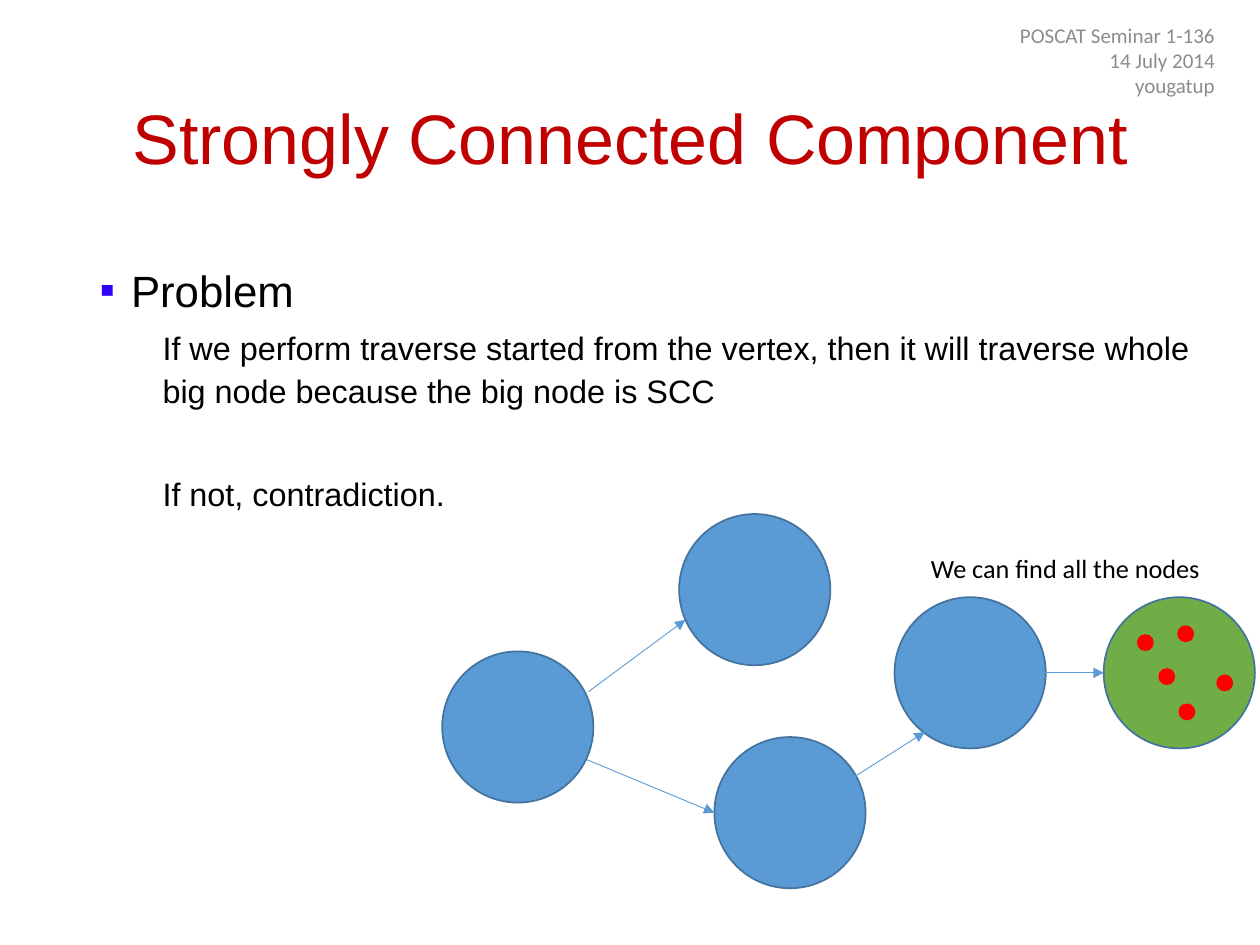
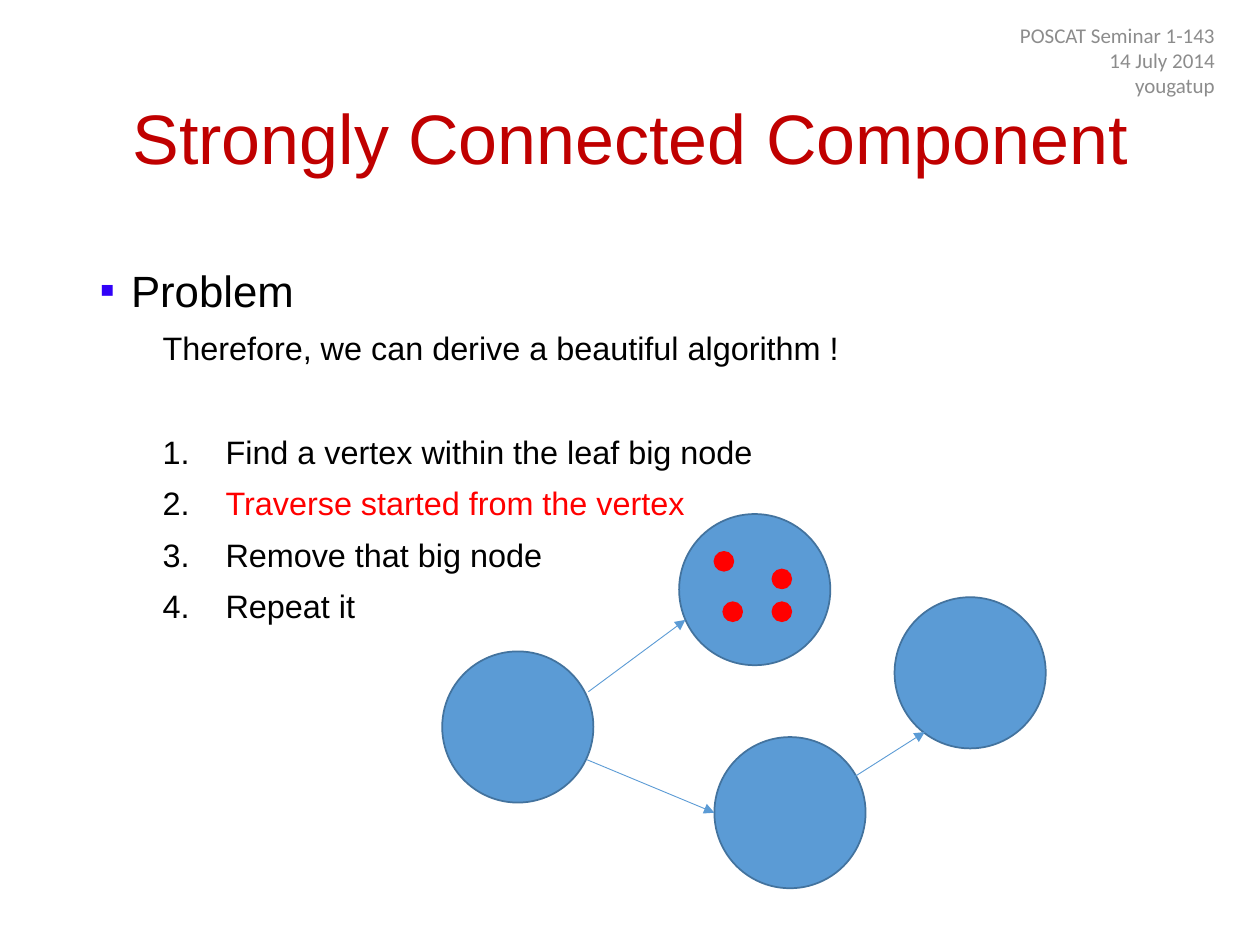
from lxml.etree import SubElement
from pptx import Presentation
from pptx.dml.color import RGBColor
from pptx.enum.shapes import MSO_CONNECTOR, MSO_SHAPE
from pptx.enum.text import MSO_ANCHOR, MSO_AUTO_SIZE, PP_ALIGN
from pptx.oxml.ns import qn
from pptx.util import Inches, Pt

# Colours
BLACK = RGBColor(0x00, 0x00, 0x00)
GRAY = RGBColor(0x8C, 0x8C, 0x8C)
CRIMSON = RGBColor(0xC0, 0x00, 0x00)
RED = RGBColor(0xFF, 0x00, 0x00)
BLUE = RGBColor(0x5B, 0x9B, 0xD5)
EDGE = RGBColor(0x43, 0x73, 0x9E)
GREEN = RGBColor(0x70, 0xAD, 0x47)
VIOLET = RGBColor(0x31, 0x02, 0xF8)

# The graph that both slides show
NODE = 1.2
NODES = [(3.51, 5.17), (5.39, 4.08), (5.67, 5.85), (7.1, 4.74)]
ARROWS = [
    ((4.67, 5.49), (5.44, 4.92)),
    ((4.66, 6.03), (5.67, 6.45)),
    ((6.27, 6.49), (7.34, 5.81)),
]
GAP = 34.5  # space before a paragraph that opens a new block


def write(frame, text, size=18.5, color=BLACK, font="Arial", align=PP_ALIGN.LEFT,
          level=0, lines=1.0, before=0, left=0, hang=0, mark=None, tint=BLACK):
    """Add one paragraph; mark is a bullet character or "1." for numbering."""
    para = frame.paragraphs[0]
    if para.runs:
        para = frame.add_paragraph()
    para.alignment, para.level = align, level
    para.line_spacing, para.space_before = lines, Pt(before)
    run = para.add_run()
    run.text = text
    run.font.name, run.font.size = font, Pt(size)
    run.font.color.rgb = color

    # Indent and bullet
    props = para._p.get_or_add_pPr()
    props.set("marL", str(Inches(left)))
    props.set("indent", str(Inches(-hang)))
    if mark is None:
        SubElement(props, qn("a:buNone"))
        return
    SubElement(SubElement(props, qn("a:buClr")), qn("a:srgbClr"), val=str(tint))
    SubElement(props, qn("a:buFont"), typeface="Arial")
    if mark == "1.":
        SubElement(props, qn("a:buAutoNum"), type="arabicPeriod")
    else:
        SubElement(props, qn("a:buChar"), char=mark)


def place(shape, left, top, width, height):
    shape.left, shape.top = Inches(left), Inches(top)
    shape.width, shape.height = Inches(width), Inches(height)


def box(slide, left, top, width, height, wrap=True):
    shape = slide.shapes.add_textbox(
        Inches(left), Inches(top), Inches(width), Inches(height))
    shape.text_frame.word_wrap = wrap
    return shape.text_frame


def disc(slide, spot, size, fill=BLUE, edge=EDGE):
    left, top = spot
    shape = slide.shapes.add_shape(
        MSO_SHAPE.OVAL, Inches(left), Inches(top), Inches(size), Inches(size))
    shape.shadow.inherit = False
    shape.fill.solid()
    shape.fill.fore_color.rgb = fill
    shape.line.color.rgb = edge
    shape.line.width = Pt(1)


def dots(slide, spots, size):
    for spot in spots:
        disc(slide, spot, size, RED, RED)


def arrow(slide, start, end):
    link = slide.shapes.add_connector(
        MSO_CONNECTOR.STRAIGHT, *(Inches(n) for n in start + end))
    link.line.color.rgb = BLUE
    link.line.width = Pt(0.5)
    SubElement(link.line._get_or_add_ln(), qn("a:tailEnd"), type="triangle")
    SubElement(link._element.spPr, qn("a:effectLst"))


def graph(slide):
    for spot in NODES:
        disc(slide, spot, NODE)
    for start, end in ARROWS:
        arrow(slide, start, end)


def page(deck, number):
    """Start a slide with title, list heading and header; return slide and list."""
    slide = deck.slides.add_slide(deck.slide_layouts[1])

    # Title
    title = slide.shapes.title
    place(title, 0.69, 0.4, 8.62, 1.45)
    title.text_frame.vertical_anchor = MSO_ANCHOR.MIDDLE
    title.text_frame.auto_size = MSO_AUTO_SIZE.NONE
    write(title.text_frame, "Strongly Connected Component", size=40,
          color=CRIMSON, align=PP_ALIGN.CENTER, lines=0.9)

    # List
    body = slide.placeholders[1]
    place(body, 0.69, 2, 9.13, 4.76)
    frame = body.text_frame
    frame.auto_size = MSO_AUTO_SIZE.NONE
    write(frame, "Problem", size=25, lines=1.1, before=10,
          left=0.25, hang=0.25, mark="▪", tint=VIOLET)

    # Header
    head = box(slide, 7.49, 0.2, 2.25, 0.55)
    head.vertical_anchor = MSO_ANCHOR.MIDDLE
    for text in (f"POSCAT Seminar 1-{number}", "14 July 2014", "yougatup"):
        write(head, text, size=12, color=GRAY, font="Calibri",
              align=PP_ALIGN.RIGHT)
    return slide, frame


def point(frame, text, before=5):
    write(frame, text, level=1, lines=1.1, before=before, left=0.5)


def step(frame, text, before=5, color=BLACK):
    write(frame, text, color=color, level=1, lines=1.1, before=before,
          left=1, hang=0.5, mark="1.")


def proof(deck):
    slide, frame = page(deck, 136)
    point(frame, "If we perform traverse started from the vertex, then it will "
                 "traverse whole big node because the big node is SCC")
    point(frame, "If not, contradiction.", before=GAP)

    # Graph with its leaf node
    graph(slide)
    disc(slide, (8.76, 4.74), NODE, GREEN)
    arrow(slide, (7.7, 5.34), (8.76, 5.34))
    dots(slide, [(9.03, 5.04), (9.36, 5.59), (9.2, 5.31),
                 (9.66, 5.36), (9.35, 4.97)], 0.12)
    label = box(slide, 7.29, 4.33, 2.36, 0.35, wrap=False)
    write(label, "We can find all the nodes", size=15, font="Calibri")


def method(deck):
    slide, frame = page(deck, 143)
    point(frame, "Therefore, we can derive a beautiful algorithm !")
    step(frame, "Find a vertex within the leaf big node", before=GAP)
    step(frame, "Traverse started from the vertex", color=RED)
    step(frame, "Remove that big node")
    step(frame, "Repeat it")

    # Graph with the leaf node removed
    graph(slide)
    dots(slide, [(5.67, 4.38), (5.74, 4.78), (6.13, 4.78), (6.13, 4.52)], 0.15)


def main():
    deck = Presentation()
    deck.slide_width, deck.slide_height = Inches(10), Inches(7.5)
    proof(deck)
    method(deck)
    deck.save("out.pptx")


if __name__ == "__main__":
    main()
